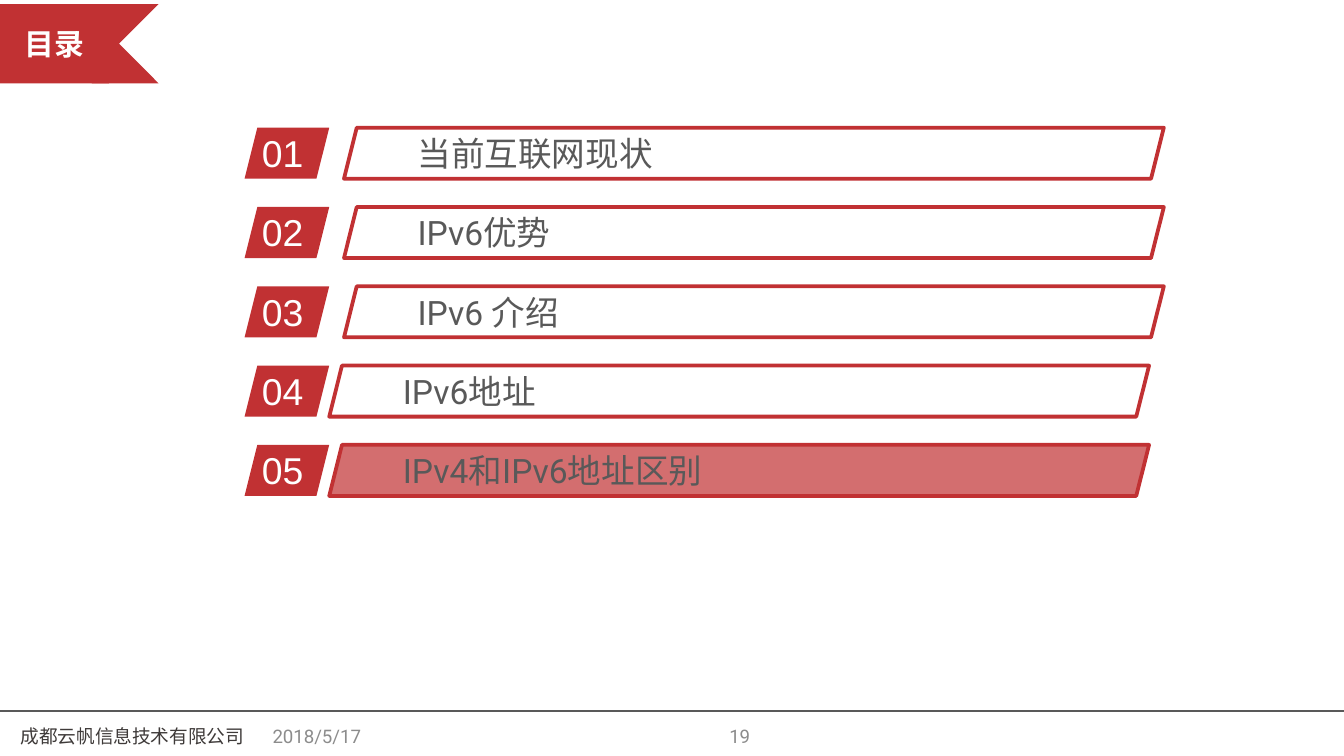
from lxml.etree import SubElement
from pptx import Presentation
from pptx.dml.color import RGBColor
from pptx.enum.shapes import MSO_CONNECTOR, MSO_SHAPE
from pptx.enum.text import MSO_ANCHOR, MSO_AUTO_SIZE, PP_ALIGN
from pptx.oxml.ns import qn
from pptx.util import Inches, Pt

COLORS = {
    "red": "C13133",
    "white": "FFFFFF",
    "entry": "595959",
    "rule": "595959",
    "muted": "8C8C8C",
    "company": "3E3A39",
}
ROW_TOP, ROW_STEP, ROW_HEIGHT = 0.95, 0.59, 0.38
# Entry text, left edge of its bar, fill colour of its bar
AGENDA = [
    ("当前互联网现状", 2.56, "white"),
    ("IPv6优势", 2.56, "white"),
    ("IPv6 介绍", 2.56, "white"),
    ("IPv6地址", 2.45, "white"),
    ("IPv4和IPv6地址区别", 2.45, "red"),
]


def rgb(color):
    return RGBColor.from_string(COLORS[color])


def box(left, top, width, height):
    return [Inches(length) for length in (left, top, width, height)]


def write(holder, text, font_name, size, color, align=PP_ALIGN.LEFT, bold=False):
    """Put one formatted paragraph into a shape and return the paragraph."""
    holder.text_frame.text = text
    paragraph = holder.text_frame.paragraphs[0]
    paragraph.alignment = align
    font = paragraph.font
    font.name, font.size, font.bold = font_name, Pt(size), bold
    font.color.rgb = rgb(color)
    return paragraph


def add_filled(slide, preset, bounds, color):
    shape = slide.shapes.add_shape(preset, *box(*bounds))
    shape.shadow.inherit = False
    shape.fill.solid()
    shape.fill.fore_color.rgb = rgb(color)
    shape.line.fill.background()
    return shape


def add_label(slide, bounds, text, font_name, size, color, align=PP_ALIGN.LEFT):
    label = slide.shapes.add_textbox(*box(*bounds))
    label.text_frame.word_wrap = True
    return label, write(label, text, font_name, size, color, align)


def add_ribbon_title(slide, text):
    tail = add_filled(slide, MSO_SHAPE.CHEVRON, (0.39, 0.03, 0.79, 0.59), "red")
    tail.element.spPr.find(qn("a:xfrm")).set("flipH", "1")

    title = slide.shapes.title
    title.left, title.top, title.width, title.height = box(0, 0.03, 0.81, 0.59)
    title.fill.solid()
    title.fill.fore_color.rgb = rgb("red")
    write(title, text, "Arial", 16, "white", PP_ALIGN.CENTER, bold=True)
    frame = title.text_frame
    frame.auto_size = MSO_AUTO_SIZE.NONE
    frame.vertical_anchor = MSO_ANCHOR.MIDDLE
    frame.margin_left = frame.margin_right = Inches(0.1)
    frame.margin_top = frame.margin_bottom = Inches(0.16)
    # The title lies over the point of the ribbon tail
    title.element.getparent().append(title.element)


def add_number(slide, number, top):
    add_filled(slide, MSO_SHAPE.PARALLELOGRAM, (1.82, top, 0.63, ROW_HEIGHT), "red")
    _, paragraph = add_label(slide, (1.85, top - 0.03, 0.87, 0.35),
                             f"{number:02d}", "Arial", 20, "white")
    paragraph.space_before = Pt(4)


def add_entry(slide, text, left, top, color):
    bar = add_filled(slide, MSO_SHAPE.PARALLELOGRAM,
                     (left, top, 6.1, ROW_HEIGHT), color)
    fill_color = bar.element.spPr.find(qn("a:solidFill"))[0]
    SubElement(fill_color, qn("a:alpha"), val="70000")
    bar.line.color.rgb = rgb("red")
    bar.line.width = Pt(2)
    write(bar, text, "Roboto", 18, "entry")
    frame = bar.text_frame
    frame.vertical_anchor = MSO_ANCHOR.MIDDLE
    frame.margin_left = frame.margin_right = 0


def add_footer(slide):
    rule = slide.shapes.add_connector(MSO_CONNECTOR.STRAIGHT, Inches(0),
                                      Inches(5.29), Inches(10), Inches(5.29))
    rule.line.color.rgb = rgb("rule")
    rule.line.width = Pt(0.75)
    SubElement(rule.element.spPr, qn("a:effectLst"))

    for text, left, width, color, align in (
        ("成都云帆信息技术有限公司", -0.83, 3.63, "company", PP_ALIGN.CENTER),
        ("2018/5/17", 1.93, 2.33, "muted", PP_ALIGN.LEFT),
        ("19", 3.35, 2.33, "muted", PP_ALIGN.RIGHT),
    ):
        label, _ = add_label(slide, (left, 5.33, width, 0.3),
                             text, "Roboto", 10, color, align)
        label.text_frame.vertical_anchor = MSO_ANCHOR.MIDDLE


def main():
    presentation = Presentation()
    presentation.slide_width = Inches(10)
    # Widescreen, 16:9
    presentation.slide_height = presentation.slide_width * 9 // 16
    slide = presentation.slides.add_slide(
        presentation.slide_layouts.get_by_name("Title Only"))

    add_footer(slide)
    add_ribbon_title(slide, "目录")
    for row, (text, left, color) in enumerate(AGENDA):
        top = ROW_TOP + row * ROW_STEP
        add_number(slide, row + 1, top)
        add_entry(slide, text, left, top, color)

    presentation.save("out.pptx")


if __name__ == "__main__":
    main()
